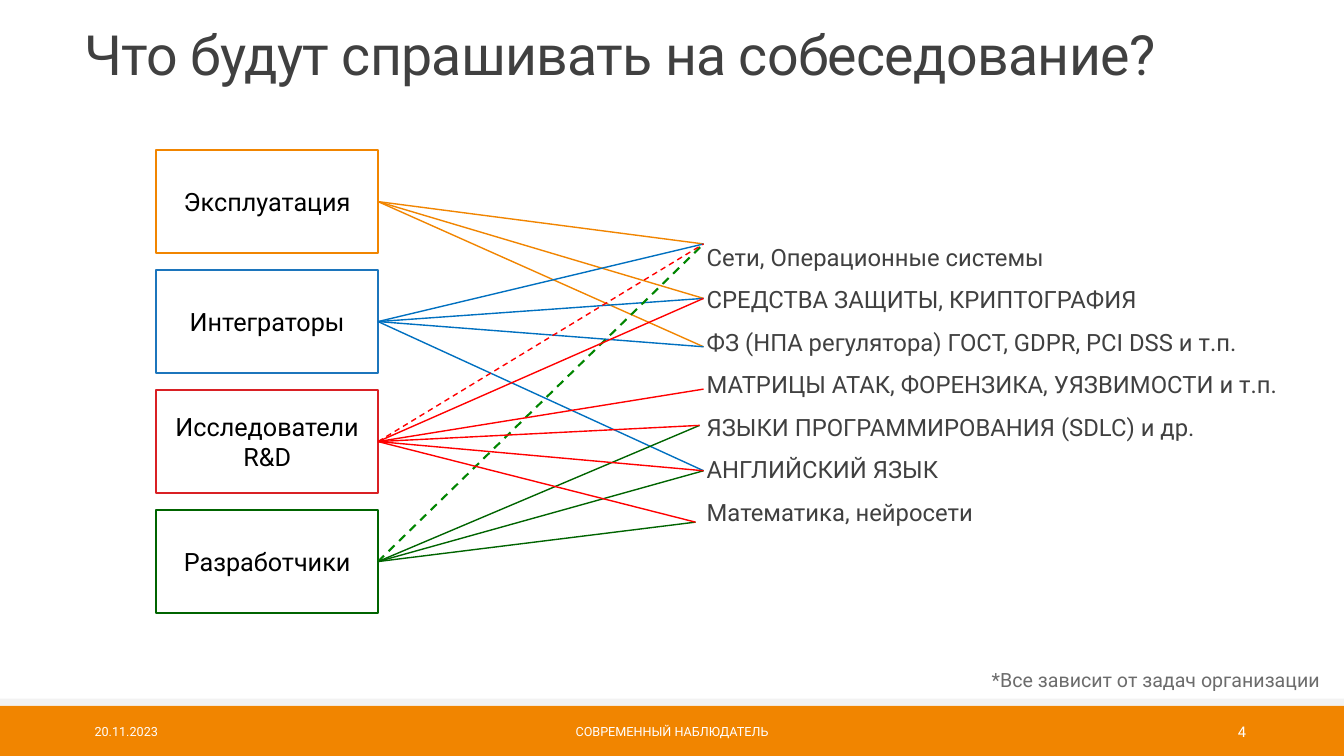
from lxml.etree import SubElement
from pptx import Presentation
from pptx.dml.color import RGBColor
from pptx.enum.dml import MSO_LINE
from pptx.enum.shapes import MSO_CONNECTOR, MSO_SHAPE
from pptx.enum.text import MSO_ANCHOR, MSO_AUTO_SIZE, PP_ALIGN
from pptx.oxml.ns import qn
from pptx.util import Inches, Pt

W, H = Inches(13.333), Inches(7.5)
FONT = "Roboto"
ORANGE, WHITE, DARK = "F18500", "FFFFFF", "404040"
RIGHT_SIDE = 3

# Role boxes: name and outline colour
ROLES = [
    ("Эксплуатация", ORANGE),
    ("Интеграторы", "1C75BC"),
    ("Исследователи R&D", "D92024"),
    ("Разработчики", "006400"),
]
# Topics: text and the point where their links end (percent of the slide)
TOPICS = [
    ("Сети, Операционные системы", 52.35, 32.27),
    ("СРЕДСТВА ЗАЩИТЫ, КРИПТОГРАФИЯ", 52.35, 39.47),
    ("ФЗ (НПА регулятора) ГОСТ, GDPR, PCI DSS и т.п.", 52.35, 45.87),
    ("МАТРИЦЫ АТАК, ФОРЕНЗИКА, УЯЗВИМОСТИ и т.п.", 52.35, 51.47),
    ("ЯЗЫКИ ПРОГРАММИРОВАНИЯ (SDLC) и др.", 52.05, 56.27),
    ("АНГЛИЙСКИЙ ЯЗЫК", 52.35, 62.27),
    ("Математика, нейросети", 51.75, 69.07),
]
# Links: role, colour, width, dashed, topics
LINKS = [
    (0, ORANGE, 1, False, [0, 1, 2]),
    (1, "0070C0", 1, False, [0, 1, 2, 5]),
    (3, "008500", 1.5, True, [0]),
    (3, "006400", 1, False, [5, 6, 4]),
    (2, "FF0000", 1, True, [0]),
    (2, "FF0000", 1, False, [3, 4, 6, 1, 5]),
]


def color(value):
    return RGBColor.from_string(value)


def area(x, y, w, h):
    """Turn percentages of the slide into lengths."""
    return [int(share * side / 100) for share, side in ((x, W), (y, H), (w, W), (h, H))]


def write(sp, *lines, size=18, fill=DARK, align=PP_ALIGN.LEFT, anchor=MSO_ANCHOR.TOP,
          wrap=True, insets=(0.1, 0.05), spacing=None, before=None, after=None):
    tf = sp.text_frame
    tf.word_wrap, tf.auto_size, tf.vertical_anchor = wrap, MSO_AUTO_SIZE.NONE, anchor
    tf.margin_left = tf.margin_right = Inches(insets[0])
    tf.margin_top = tf.margin_bottom = Inches(insets[1])
    for i, text in enumerate(lines):
        p = tf.add_paragraph() if i else tf.paragraphs[0]
        p.alignment, p.line_spacing = align, spacing
        p.space_before, p.space_after = before, after
        r = p.add_run()
        r.text = text
        r.font.name, r.font.size = FONT, Pt(size)
        r.font.color.rgb = color(fill)


def add_rect(slide, box, fill, line=None):
    sp = slide.shapes.add_shape(MSO_SHAPE.RECTANGLE, *area(*box))
    sp.shadow.inherit = False
    sp.fill.solid()
    sp.fill.fore_color.rgb = color(fill)
    if line:
        sp.line.color.rgb = color(line)
        sp.line.width = Pt(1.25)
    else:
        sp.line.fill.background()
    return sp


def add_label(slide, box, text, **style):
    write(slide.shapes.add_textbox(*area(*box)), text, **style)


def place(sp, box):
    sp.left, sp.top, sp.width, sp.height = area(*box)


def add_title(slide, text):
    sp = slide.shapes.title
    place(sp, (6.3, 4, 81.53, 12.27))
    write(sp, text, size=39.6, insets=(0, 0), spacing=0.85)
    sp.text_frame.paragraphs[0].runs[0].font._element.set("spc", "-50")


def add_topics(slide):
    sp = slide.placeholders[1]
    place(sp, (51.83, 32.13, 44.85, 42))
    write(sp, *[text for text, _, _ in TOPICS], size=17, insets=(0, 0.05),
          spacing=0.8, before=Pt(12), after=Pt(2))
    for p in sp.text_frame.paragraphs:
        pPr = p._p.get_or_add_pPr()
        pPr.set("marL", str(Inches(0.1)))
        pPr.set("indent", "0")
        SubElement(pPr, qn("a:buNone"))


def add_role(slide, row, name, line):
    sp = add_rect(slide, (11.63, 19.87 + 15.87 * row, 16.5, 13.6), WHITE, line)
    write(sp, name, fill="000000", align=PP_ALIGN.CENTER, anchor=MSO_ANCHOR.MIDDLE)
    return sp


def add_link(slide, role, topic, line, width, dashed):
    _, x, y = TOPICS[topic]
    end_x, end_y, _, _ = area(x, y, 0, 0)
    c = slide.shapes.add_connector(MSO_CONNECTOR.STRAIGHT, 0, 0, end_x, end_y)
    c.begin_connect(role, RIGHT_SIDE)
    c.line.color.rgb = color(line)
    c.line.width = Pt(width)
    if dashed:
        c.line.dash_style = MSO_LINE.DASH
    SubElement(c._element.spPr, qn("a:effectLst"))


def add_footer(slide):
    add_rect(slide, (0, 93.33, 100, 6.67), ORANGE)
    add_rect(slide, (0, 92.4, 100, 0.93), "F2F2F2")
    for x, w, text, size, align in [
        (6.3, 20.25, "20.11.2023", 9, PP_ALIGN.LEFT),
        (30.23, 39.53, "СОВРЕМЕННЫЙ НАБЛЮДАТЕЛЬ", 9, PP_ALIGN.CENTER),
        (82.73, 10.73, "4", 10.5, PP_ALIGN.RIGHT),
    ]:
        add_label(slide, (x, 94.13, w, 5.33), text, size=size, fill=WHITE,
                  align=align, anchor=MSO_ANCHOR.MIDDLE)


def main():
    prs = Presentation()
    prs.slide_width, prs.slide_height = W, H
    slide = prs.slides.add_slide(prs.slide_layouts[1])

    # Footer, title and list of topics
    add_footer(slide)
    add_title(slide, "Что будут спрашивать на собеседование?")
    add_topics(slide)

    # Roles and their links to topics
    roles = [add_role(slide, row, *role) for row, role in enumerate(ROLES)]
    for role, line, width, dashed, topics in LINKS:
        for topic in topics:
            add_link(slide, roles[role], topic, line, width, dashed)

    # Footnote
    add_label(slide, (73.05, 87.73, 26.33, 4.53), "*Все зависит от задач организации",
              size=14, fill="6C6C6C", wrap=False)
    prs.save("out.pptx")


if __name__ == "__main__":
    main()
